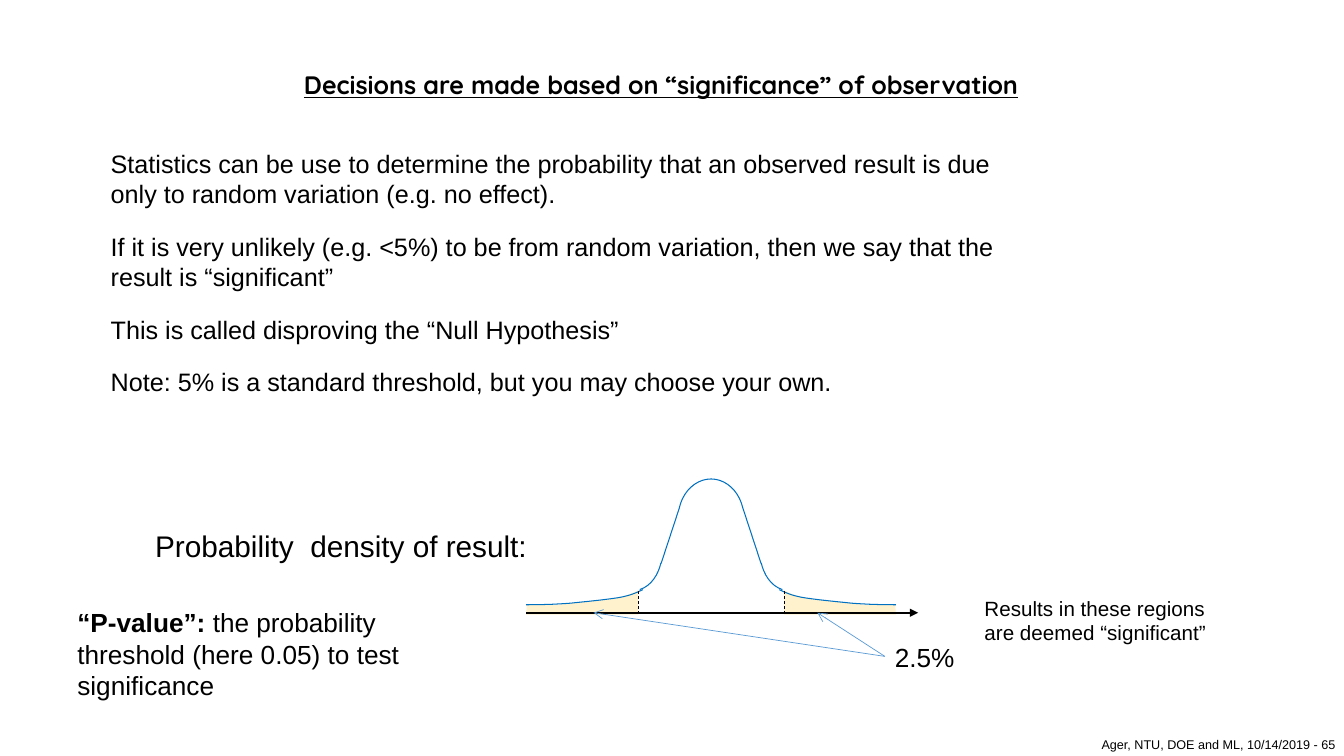
import pptx
import pptx.util
import pptx.dml.color
import pptx.enum.dml
import pptx.enum.shapes
import pptx.enum.text
from pptx.util import Cm
from lxml import etree

COLORS = {
    "text": "000000",
    "paper": "FFFFFF",
    "tail": "FFF2CC",
    "curve": "0070C0",
    "pointer": "5B9BD5",
}
NS = "http://schemas.openxmlformats.org/drawingml/2006/main"
CENTER = 17.92
AXIS_Y = 15.44
TAIL_AREA = [(16.08, 14.88), (16.08, 15.49), (13.26, 15.49), (13.28, 15.24),
             (14.07, 15.24), (14.81, 15.16), (15.34, 15.11), (15.72, 15.04)]
TAIL_CURVE = [
    [(16.2, 14.86), (16.03, 14.94), (15.88, 15.01), (15.59, 15.06)],
    [(15.59, 15.06), (15.29, 15.11), (14.78, 15.16), (14.38, 15.2)],
    [(14.38, 15.2), (14, 15.23), (13.63, 15.24), (13.26, 15.24)],
]


def rgb(name):
    return pptx.dml.color.RGBColor.from_string(COLORS[name])


def add_text(s, box, paragraphs, size, font="Arial", wrap=True, align=None, after=0, **style):
    tf = s.shapes.add_textbox(*map(Cm, box)).text_frame
    tf.word_wrap = wrap
    for i, runs in enumerate(paragraphs):
        p = tf.paragraphs[0] if i == 0 else tf.add_paragraph()
        p.alignment = align
        p.space_after = pptx.util.Pt(after)
        for text, extra in runs:
            r = p.add_run()
            r.text = text
            r.font.color.rgb = rgb("text")
            values = {"name": font, "size": pptx.util.Pt(size), **style, **extra}
            for key, value in values.items():
                setattr(r.font, key, value)


def set_line(sp, color, width):
    sp.line.color.rgb = rgb(color)
    sp.line.width = pptx.util.Pt(width)


def add_line(s, start, end, color, width, head=None, dashed=False):
    sp = s.shapes.add_connector(pptx.enum.shapes.MSO_CONNECTOR.STRAIGHT,
                                *map(Cm, (*start, *end)))
    set_line(sp, color, width)
    if dashed:
        sp.line.dash_style = pptx.enum.dml.MSO_LINE.DASH
    if head:
        ln = sp._element.spPr.find(f"{{{NS}}}ln")
        etree.SubElement(ln, f"{{{NS}}}tailEnd", type=head)
    etree.SubElement(sp._element.spPr, f"{{{NS}}}effectLst")


def add_arc(s, box, angles, flip, rotation=0):
    sp = s.shapes.add_shape(pptx.enum.shapes.MSO_SHAPE.ARC, *map(Cm, box))
    sp.shadow.inherit = False
    sp.fill.background()
    set_line(sp, "curve", 0.75)
    sp.rotation = rotation
    for i, angle in enumerate(angles):
        sp.adjustments[i] = angle * 0.6
    if flip:
        sp._element.spPr.find(f"{{{NS}}}xfrm").set("flipH", "1")


def add_outline(s, points, closed):
    pts = [(Cm(x), Cm(y)) for x, y in points]
    fb = s.shapes.build_freeform(*pts[0])
    fb.add_line_segments(pts[1:], close=closed)
    sp = fb.convert_to_shape()
    sp.shadow.inherit = False
    return sp


def bezier(a, b, c, d, steps=10):
    for i in range(steps + 1):
        t = i / steps
        u = 1 - t
        weights = (u ** 3, 3 * u * u * t, 3 * u * t * t, t ** 3)
        yield tuple(sum(w * q[k] for w, q in zip(weights, (a, b, c, d))) for k in (0, 1))


def mirror(points, right):
    return [(2 * CENTER - x, y) if right else (x, y) for x, y in points]


def add_tail_area(s, right):
    sp = add_outline(s, mirror(TAIL_AREA, right), True)
    sp.fill.solid()
    sp.fill.fore_color.rgb = rgb("tail")
    sp.line.fill.background()


def add_half_bell(s, right):
    add_arc(s, (17.09, 12.07, 1.66, 1.98), (270, 342.12), not right)
    foot_x = 19.15 if right else 15.24
    add_arc(s, (foot_x, 12.9, 1.45, 1.98), (279.38, 336.87), not right, 180)
    add_line(s, *mirror([(17.12, 12.8), (16.66, 14.2)], right), "curve", 0.75)
    points = [q for segment in TAIL_CURVE for q in bezier(*segment)]
    sp = add_outline(s, mirror(points, right), False)
    sp.fill.background()
    set_line(sp, "curve", 0.75)
    add_line(s, *mirror([(16.08, 14.9), (16.08, 15.47)], right), "text", 0.5, dashed=True)


def main():
    prs = pptx.Presentation()
    prs.slide_width, prs.slide_height = Cm(33.87), Cm(19.05)
    s = prs.slides.add_slide(prs.slide_layouts[6])
    s.background.fill.solid()
    s.background.fill.fore_color.rgb = rgb("paper")

    add_text(s, (27.51, 18.44, 6.53, 0.64),
             [[("Ager, NTU, DOE and ML, 10/14/2019 - 65", {})]], 9, wrap=False)
    add_text(s, (1.7, 1.63, 29.92, 1.93),
             [[("Decisions are made based on “significance” of observation", {})]], 18,
             font="Quicksand", align=pptx.enum.text.PP_ALIGN.CENTER, bold=True, underline=True)
    statements = [
        "Statistics can be use to determine the probability that an observed result is due "
        "only to random variation (e.g. no effect).",
        "If it is very unlikely (e.g. <5%) to be from random variation, then we say that the "
        "result is “significant”",
        "This is called disproving the “Null Hypothesis”",
        "Note: 5% is a standard threshold, but you may choose your own.",
    ]
    add_text(s, (2.54, 3.61, 23.98, 6.58), [[(text, {})] for text in statements], 18, after=16)

    for right in (False, True):
        add_tail_area(s, right)
    add_line(s, (13.26, AXIS_Y), (23.14, AXIS_Y), "text", 1.5, head="triangle")
    for right in (True, False):
        add_half_bell(s, right)

    add_text(s, (3.66, 13.18, 11.28, 1.17), [[("Probability  density of result:", {})]], 21.3)
    add_text(s, (22.3, 16.03, 2.54, 1.07), [[("2.5%", {})]], 18.7)
    for x in (20.6, 14.96):
        add_line(s, (22.3, 16.54), (x, AXIS_Y), "pointer", 0.5, head="arrow")
    add_text(s, (24.56, 14.88, 6.78, 1.5),
             [[("Results in these regions are deemed “significant”", {})]], 14.7)
    add_text(s, (1.7, 15.16, 9.04, 2.64),
             [[("“P-value”: ", {"bold": True}),
               ("the probability threshold (here 0.05) to test significance", {})]], 18.7)

    prs.save("out.pptx")


if __name__ == "__main__":
    main()
